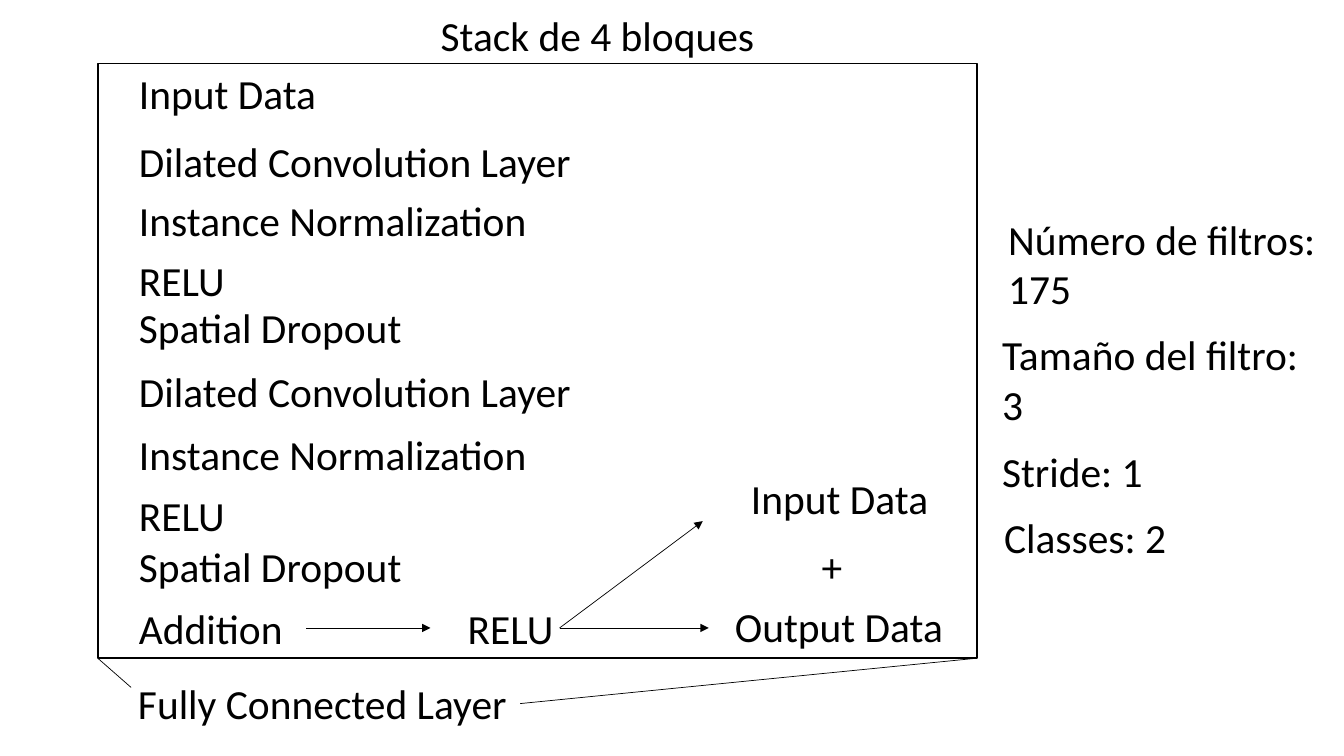
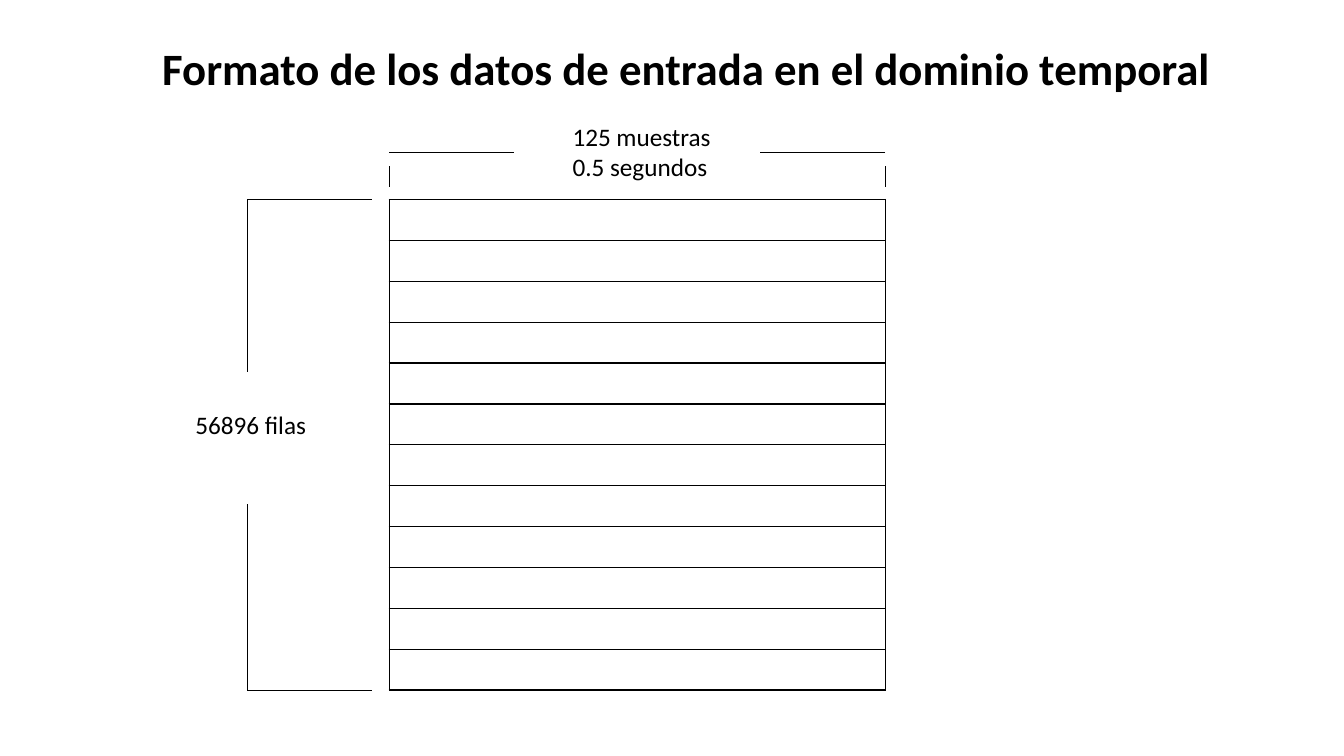
from pptx import Presentation
from pptx.dml.color import RGBColor
from pptx.enum.shapes import MSO_CONNECTOR as Connector, MSO_SHAPE as Shape
from pptx.enum.text import MSO_ANCHOR as Anchor, MSO_AUTO_SIZE as AutoSize, PP_ALIGN as Align
from pptx.oxml.ns import qn
from pptx.util import Inches, Pt
from lxml import etree

BLACK = RGBColor(0x00, 0x00, 0x00)
FONT = "Calibri"
DIAGRAM_SIZE, TITLE_SIZE, LABEL_SIZE = 29.6, 32, 18
TITLE_ONLY = 5

# Label, width, distance from the top of the stack frame
LAYERS = [
    ("Input Data", 1.97, 0),
    ("Dilated Convolution Layer", 4.52, 0.67),
    ("Instance Normalization", 4.08, 1.26),
    ("RELU", 1.06, 1.85),
    ("Spatial Dropout", 2.83, 2.32),
    ("Dilated Convolution Layer", 4.52, 2.95),
    ("Instance Normalization", 4.08, 3.58),
    ("RELU", 1.06, 4.18),
    ("Spatial Dropout", 2.83, 4.69),
    ("Addition", 1.64, 5.3),
]
# Lines, left and top offsets, width, height
PARAMETERS = [
    (["Número de filtros:", "175"], 0.06, 0, 3.38, 1.1),
    (["Tamaño del filtro:", "3"], 0, 1.15, 3.26, 1.1),
    (["Stride: 1"], 0, 2.31, 1.61, 0.6),
    (["Classes: 2"], 0.02, 2.96, 1.83, 0.6),
]


def write(frame, lines, size, bold=False, align=Align.LEFT, wrap=False):
    frame.word_wrap = wrap
    frame.auto_size = AutoSize.NONE
    frame.vertical_anchor = Anchor.TOP
    for index, line in enumerate(lines):
        paragraph = frame.add_paragraph() if index else frame.paragraphs[0]
        paragraph.alignment = align
        run = paragraph.add_run()
        run.text = line
        run.font.name = FONT
        run.font.size = Pt(size)
        run.font.bold = bold
        run.font.color.rgb = BLACK


def add_label(shapes, lines, left, top, width, height=0.6, size=DIAGRAM_SIZE):
    label = shapes.add_textbox(Inches(left), Inches(top), Inches(width), Inches(height))
    write(label.text_frame, lines, size)


def add_line(shapes, start, end, arrow=False):
    points = [Inches(value) for value in (*start, *end)]
    line = shapes.add_connector(Connector.STRAIGHT, *points)
    line.line.color.rgb = BLACK
    line.line.width = Pt(0.5)
    properties = line.element.spPr
    if arrow:
        etree.SubElement(properties.find(qn("a:ln")), qn("a:tailEnd"), type="triangle")
    etree.SubElement(properties, qn("a:effectLst"))


def add_titled_slide(deck, text, left, top, width, height, **style):
    slide = deck.slides.add_slide(deck.slide_layouts[TITLE_ONLY])
    title = slide.shapes.title
    title.left, title.top = Inches(left), Inches(top)
    title.width, title.height = Inches(width), Inches(height)
    write(title.text_frame, [text], **style)
    return slide


def add_stack(shapes, left, top, width, height):
    """Frame with the layers of one block, its outputs and the final layer below."""
    frame = shapes.add_shape(Shape.RECTANGLE, Inches(left), Inches(top),
                             Inches(width), Inches(height))
    frame.shadow.inherit = False
    frame.fill.background()
    frame.line.color.rgb = BLACK
    frame.line.width = Pt(1)

    for name, label_width, offset in LAYERS:
        add_label(shapes, [name], left + 0.31, top + offset, label_width)
    add_label(shapes, ["RELU"], left + 3.57, top + 5.3, 1.06)

    for name, x, y, label_width in [("Input Data", 6.38, 4.01, 1.97),
                                    ("+", 7.08, 4.69, 0.41),
                                    ("Output Data", 6.22, 5.28, 2.28)]:
        add_label(shapes, [name], left + x, top + y, label_width)

    flow = top + 5.6
    split = (left + 4.58, flow)
    add_line(shapes, (left + 2.07, flow), (left + 3.3, flow), arrow=True)
    add_line(shapes, split, (left + 6.06, flow), arrow=True)
    add_line(shapes, split, (left + 6, top + 4.54), arrow=True)

    bottom = top + height
    add_label(shapes, ["Fully Connected Layer"], left + 0.3, bottom + 0.15, 3.89)
    add_line(shapes, (left, bottom), (left + 0.33, bottom + 0.29))
    add_line(shapes, (left + width, bottom), (left + 4.19, bottom + 0.45))


def add_parameters(shapes, left, top):
    for lines, x, y, width, height in PARAMETERS:
        add_label(shapes, lines, left + x, top + y, width, height)


def add_data_rows(shapes, left, top, width, height, rows=12):
    holder = shapes.add_table(rows, 1, Inches(left), Inches(top),
                              Inches(width), Inches(height))
    table = holder.table
    table.first_row = table.horz_banding = False
    for cell in table.iter_cells():
        cell.fill.background()
    for cell in holder.element.iter(qn("a:tc")):
        properties = cell.get_or_add_tcPr()
        for index, side in enumerate(("lnL", "lnR", "lnT", "lnB")):
            border = etree.Element(qn(f"a:{side}"), w=str(Pt(1)))
            fill = etree.SubElement(border, qn("a:solidFill"))
            etree.SubElement(fill, qn("a:srgbClr"), val=str(BLACK))
            properties.insert(index, border)


def add_width_measure(shapes, left, top, width):
    """Dimension marks above a box whose top left corner is given."""
    group = shapes.add_group_shape().shapes
    right = left + width
    for edge, inner in [(left, left + 1.24), (right, right - 1.24)]:
        add_line(group, (edge, top - 0.47), (inner, top - 0.47))
        add_line(group, (edge, top - 0.33), (edge, top - 0.12))
    add_label(group, ["125 muestras", "0.5 segundos"], left + 1.72, top - 0.83,
              1.59, 0.71, LABEL_SIZE)


def add_height_measure(shapes, left, top, height):
    """Bracket to the left of a box whose top left corner is given."""
    group = shapes.add_group_shape().shapes
    spine = left - 1.41
    for edge, inner in [(top, top + 1.71), (top + height, top + 3.02)]:
        add_line(group, (spine, edge), (left - 0.17, edge))
        add_line(group, (spine, edge), (spine, inner))
    add_label(group, ["56896 filas"], left - 2.02, top + 2.03, 1.31, 0.4, LABEL_SIZE)


def build_network_slide(deck):
    slide = add_titled_slide(deck, "Stack de 4 bloques", 4.27, 0.05, 3.34, 0.6,
                             size=DIAGRAM_SIZE)
    add_stack(slide.shapes, 0.97, 0.63, 8.72, 5.9)
    add_parameters(slide.shapes, 9.84, 2.07)


def build_data_slide(deck):
    slide = add_titled_slide(deck, "Formato de los datos de entrada en el dominio temporal",
                             0.72, 0.35, 12.18, 1.88, size=TITLE_SIZE, bold=True,
                             align=Align.CENTER, wrap=True)
    left, top, width, height = 3.86, 1.98, 4.92, 4.87
    add_data_rows(slide.shapes, left, top, width, height)
    add_width_measure(slide.shapes, left, top, width)
    add_height_measure(slide.shapes, left, top, height)


def main():
    deck = Presentation()
    deck.slide_width, deck.slide_height = Inches(13.33), Inches(7.5)
    build_network_slide(deck)
    build_data_slide(deck)
    deck.save("out.pptx")


if __name__ == "__main__":
    main()
